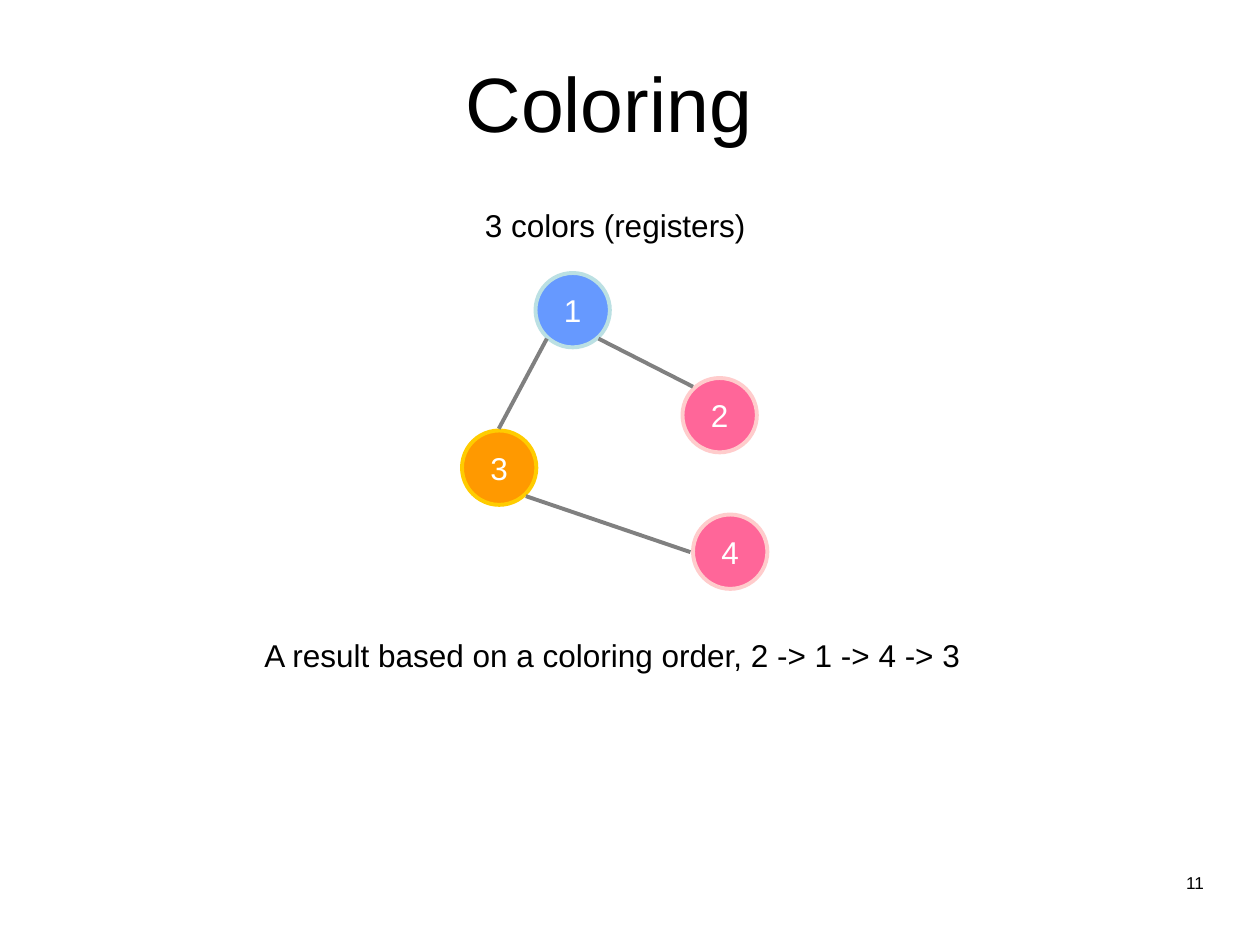
from pptx import Presentation
from pptx.dml.color import RGBColor
from pptx.enum.shapes import MSO_CONNECTOR, MSO_SHAPE
from pptx.enum.text import MSO_ANCHOR, PP_ALIGN
from pptx.oxml.ns import qn
from pptx.util import Pt
from lxml.etree import SubElement

SIZE = 42.5
NODES = [
    ("1", 306, 156, "6699FF", "BBE0E3"),
    ("2", 390, 216, "FF6699", "FFCCCC"),
    ("3", 264, 246, "FF9900", "FFCC00"),
    ("4", 396, 294, "FF6699", "FFCCCC"),
]
EDGES = [
    (312.5, 193.5, 285, 245),
    (300.5, 283.5, 394.5, 315.5),
    (342, 193.5, 396, 221),
]


def color(code):
    """Turn a hex string into a colour."""
    return RGBColor.from_string(code)


def write(frame, text, size, ink="000000", align=PP_ALIGN.LEFT):
    """Put one line of formatted text in a frame."""
    frame.text = text
    line = frame.paragraphs[0]
    line.alignment = align
    font = line.runs[0].font
    font.name, font.size = "Arial", Pt(size)
    font.color.rgb = color(ink)
    return line


def add_title(slide, text):
    """Place and fill the title."""
    title = slide.shapes.title
    title.left, title.top = Pt(24), Pt(21.5)
    title.width, title.height = Pt(648), Pt(73)
    frame = title.text_frame
    frame.vertical_anchor = MSO_ANCHOR.MIDDLE
    write(frame, text, 44, align=PP_ALIGN.CENTER)


def add_label(slide, text, left, top, width, height=29, size=18,
              align=PP_ALIGN.LEFT, wrap=False):
    """Add a text box and return its paragraph."""
    box = slide.shapes.add_textbox(Pt(left), Pt(top), Pt(width), Pt(height))
    box.text_frame.word_wrap = wrap
    return write(box.text_frame, text, size, align=align)


def add_node(slide, text, left, top, fill, edge):
    """Add one numbered graph node."""
    node = slide.shapes.add_shape(
        MSO_SHAPE.OVAL, Pt(left), Pt(top), Pt(SIZE), Pt(SIZE))
    node.shadow.inherit = False
    node.fill.solid()
    node.fill.fore_color.rgb = color(fill)
    node.line.color.rgb = color(edge)
    node.line.width = Pt(2.25)
    frame = node.text_frame
    frame.word_wrap = False
    frame.vertical_anchor = MSO_ANCHOR.MIDDLE
    write(frame, text, 18, "FFFFFF", PP_ALIGN.CENTER)


def add_edge(slide, *ends):
    """Join two nodes with a grey line."""
    edge = slide.shapes.add_connector(
        MSO_CONNECTOR.STRAIGHT, *[Pt(end) for end in ends])
    edge.line.color.rgb = color("808080")
    edge.line.width = Pt(2.25)
    SubElement(edge._element.spPr, qn("a:effectLst"))


def main():
    """Build the slide and save it."""
    deck = Presentation()
    deck.slide_width, deck.slide_height = Pt(720), Pt(540)
    slide = deck.slides.add_slide(deck.slide_layouts[5])
    add_title(slide, "Coloring")
    for node in NODES:
        add_node(slide, *node)
    for edge in EDGES:
        add_edge(slide, *edge)
    add_label(slide, "3 colors (registers)", 270, 114, 163.5)
    add_label(slide, "A result based on a coloring order, 2 -> 1 -> 4 -> 3",
              144, 360, 414)
    page = add_label(slide, "11", 580.5, 497, 114.5, 20, 9.8,
                     PP_ALIGN.RIGHT, True)
    page.line_spacing = 0.8
    deck.save("out.pptx")


if __name__ == "__main__":
    main()
